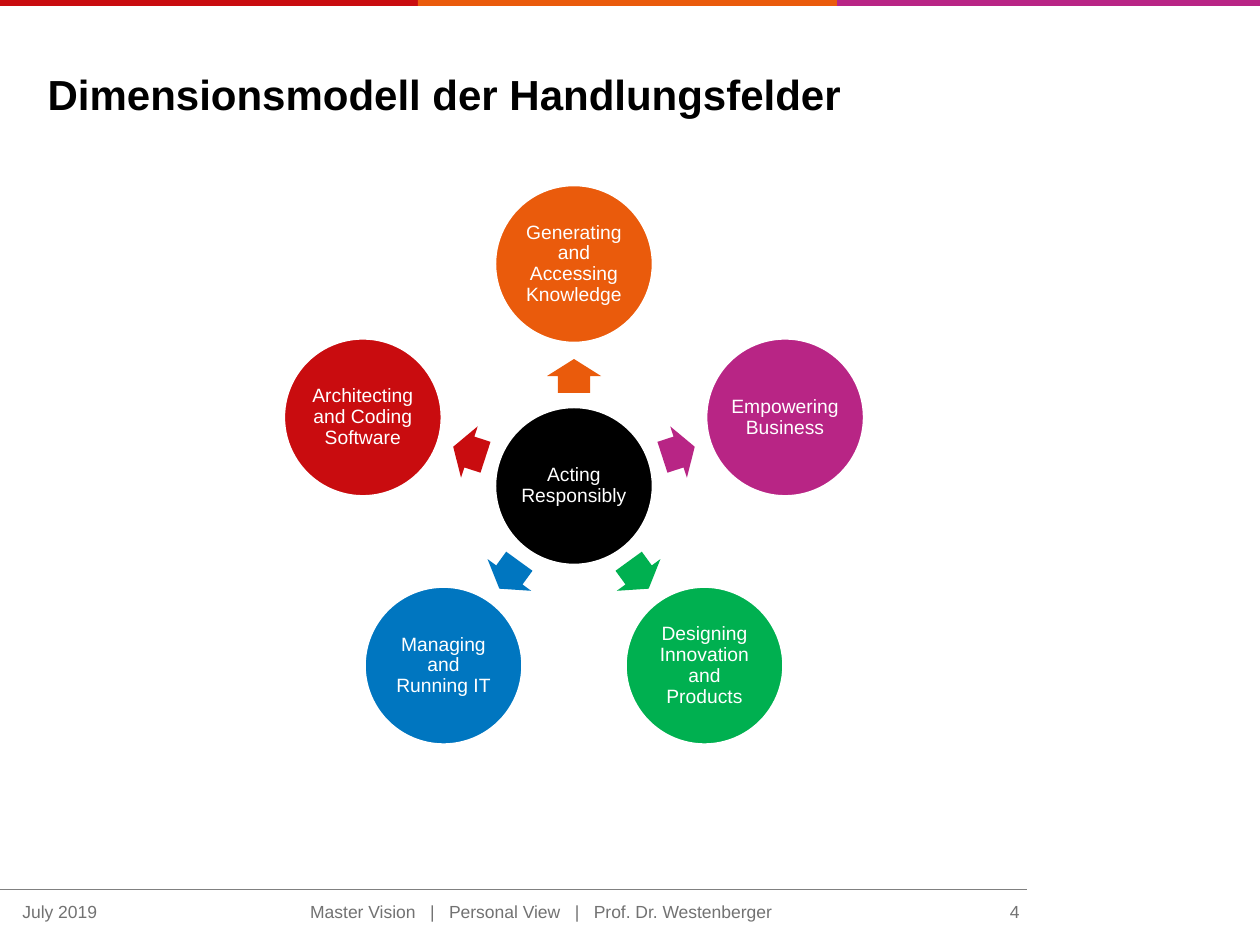
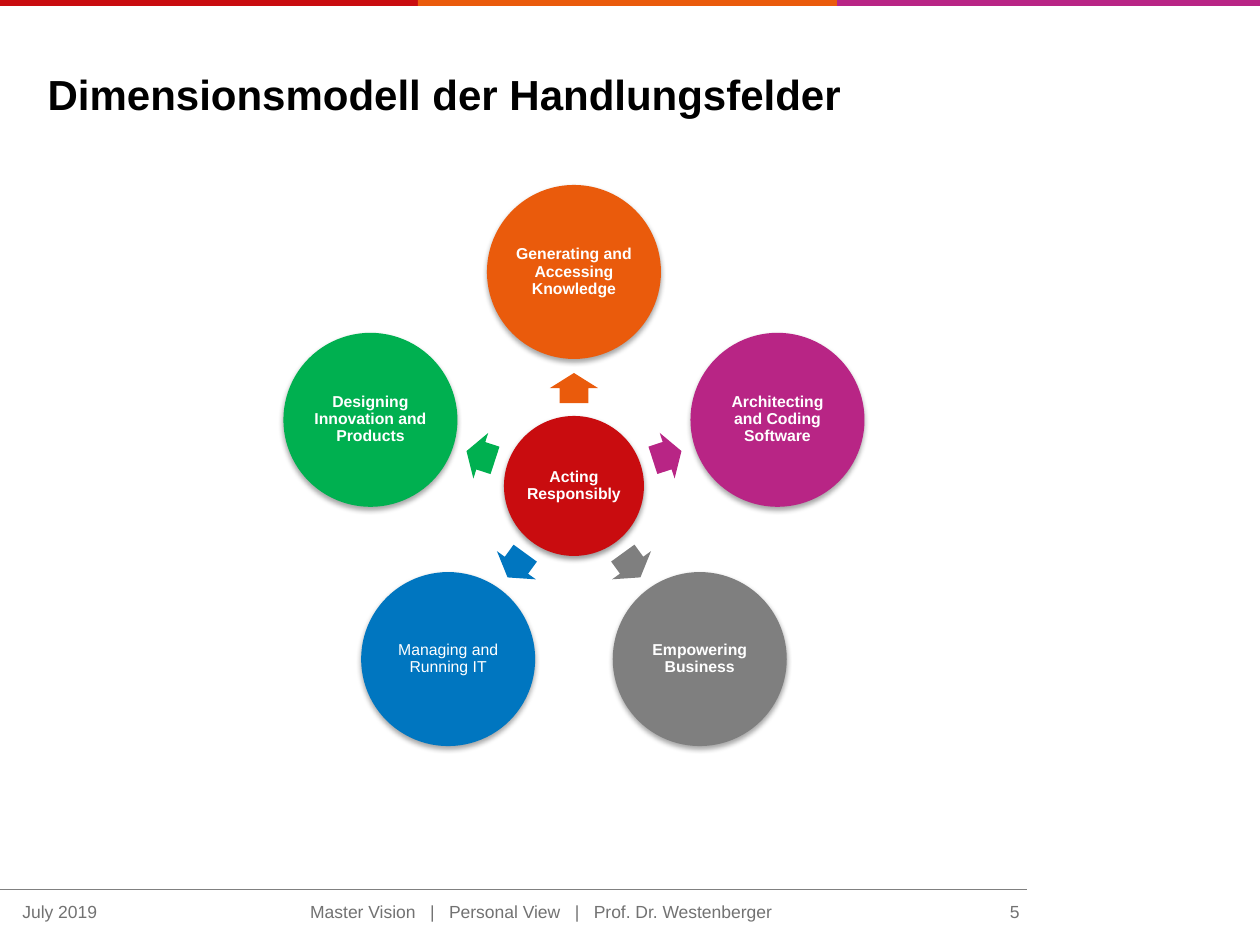
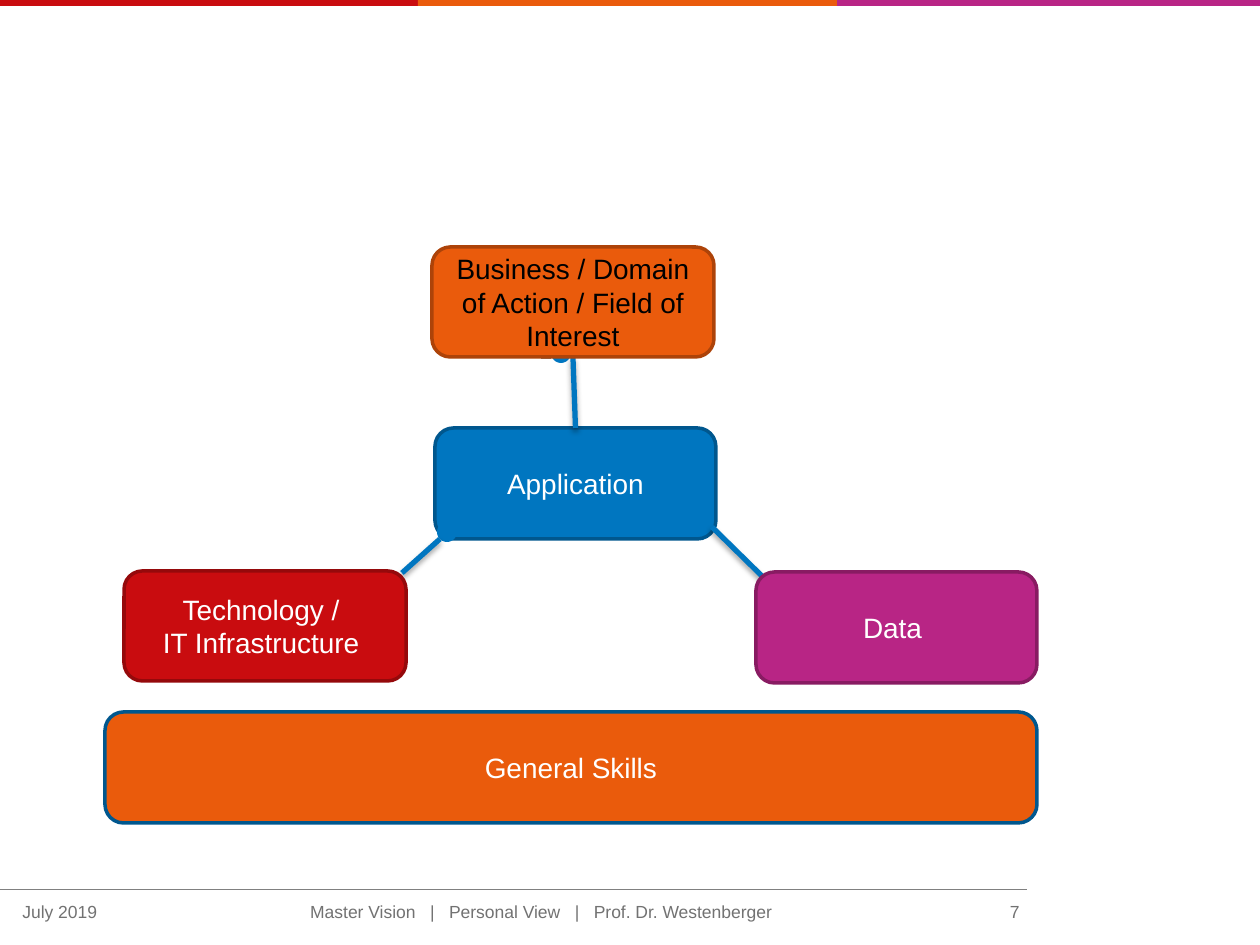
import math
from typing import NamedTuple, Optional

from lxml import etree
from pptx import Presentation
from pptx import util as u
from pptx.dml.color import RGBColor
from pptx.enum import shapes, text
from pptx.oxml.ns import qn

PX = 914400 // 126
SLIDE_W, SLIDE_H = 1260, 945
FONT = "Arial"
TITLE = "Dimensionsmodell der Handlungsfelder"
C = {
    "red": "C90C0F", "orange": "EA5B0C", "purple": "B82585", "green": "00B050",
    "blue": "0076C0", "gray": "7F7F7F", "rule": "808080", "footer": "727272",
    "black": "000000", "white": "FFFFFF", "dark_blue": "00578E",
    "dark_red": "95090B", "dark_orange": "AD4309", "dark_purple": "881B62",
}
KIND = shapes.MSO_SHAPE
ALIGN = text.PP_ALIGN


class Box(NamedTuple):
    x: float
    y: float
    w: float
    h: float


class Shadow(NamedTuple):
    alpha: int
    blur: float
    dist: float


class Style(NamedTuple):
    size: int
    color: str = "white"
    bold: bool = False
    align: ALIGN = ALIGN.CENTER
    spacing: Optional[float] = None


class Node(NamedTuple):
    label: str
    color: str
    bold: bool = False


class Wheel(NamedTuple):
    hub: Node
    nodes: list[Node]
    hub_size: int
    node_size: int
    orbit: int
    arrow_orbit: int
    arrow_w: int
    arrow_h: int
    font_size: int
    inset: int
    outline: Optional[str] = None
    hub_shadow: Optional[Shadow] = None
    node_shadow: Optional[Shadow] = None


class Block(NamedTuple):
    label: str
    fill: str
    line: str
    box: Box
    color: str = "white"


class Footer(NamedTuple):
    label: str
    box: Box
    align: ALIGN


SOFT = Shadow(35, 3.1, 1.8)
HUB_X, HUB_Y = 574, 486

WHEELS = [
    (4, Wheel(Node("Acting Responsibly", "black"), [
        Node("Generating and Accessing Knowledge", "orange"),
        Node("Empowering Business", "purple"),
        Node("Designing Innovation and Products", "green"),
        Node("Managing and Running IT", "blue"),
        Node("Architecting and Coding Software", "red"),
    ], 159, 159, 222, 110, 34, 54, 11, 2, outline="white")),
    (5, Wheel(Node("Acting Responsibly", "red", True), [
        Node("Generating and Accessing Knowledge", "orange", True),
        Node("Architecting and Coding Software", "purple", True),
        Node("Empowering Business", "gray", True),
        Node("Managing and Running IT", "blue"),
        Node("Designing Innovation and Products", "green", True),
    ], 140, 174, 214, 98, 30, 48, 9, 1,
        hub_shadow=Shadow(38, 3.1, 1.6), node_shadow=SOFT)),
]

APPLICATION = Block("Application", "blue", "dark_blue", Box(435, 428, 281, 111))
SKILLS = Block("General Skills", "orange", "dark_blue", Box(105, 712, 932, 111))
TECHNOLOGY = Block("Technology / \nIT Infrastructure ", "red", "dark_red",
                   Box(124, 571, 282, 110))
BUSINESS = Block("Business / Domain of Action / Field of Interest", "orange",
                 "dark_orange", Box(432, 247, 282, 110), "black")
DATA = Block("Data ", "purple", "dark_purple", Box(756, 572, 281, 111))


def px(n: float) -> u.Emu:
    return u.Emu(round(n * PX))


def emu(box: Box) -> list[u.Emu]:
    return [px(n) for n in box]


def centred(x: float, y: float, w: float, h: float) -> Box:
    return Box(x - w / 2, y - h / 2, w, h)


def rgb(name: str) -> RGBColor:
    return RGBColor.from_string(C[name])


def set_shadow(sp, shadow: Optional[Shadow]) -> None:
    """Append the effect list, empty when there is no shadow; call after the line is set."""
    effects = etree.SubElement(sp.element.spPr, qn("a:effectLst"))
    if shadow:
        outer = etree.SubElement(
            effects, qn("a:outerShdw"), blurRad=str(u.Pt(shadow.blur)),
            dist=str(u.Pt(shadow.dist)), dir="5400000", rotWithShape="0")
        color = etree.SubElement(outer, qn("a:srgbClr"), val=C["black"])
        etree.SubElement(color, qn("a:alpha"), val=str(shadow.alpha * 1000))


def add_shape(slide, kind: KIND, box: Box, fill: str, line: Optional[str] = None,
              shadow: Optional[Shadow] = None):
    sp = slide.shapes.add_shape(kind, *emu(box))
    sp.fill.solid()
    sp.fill.fore_color.rgb = rgb(fill)
    if line:
        sp.line.color.rgb = rgb(line)
        sp.line.width = u.Pt(2)
    else:
        sp.line.fill.background()
    set_shadow(sp, shadow)
    return sp


def add_line(slide, x1: int, y1: int, x2: int, y2: int, color: str, width: float,
             shadow: Optional[Shadow] = None):
    line = slide.shapes.add_connector(
        shapes.MSO_CONNECTOR.STRAIGHT, px(x1), px(y1), px(x2), px(y2))
    line.line.color.rgb = rgb(color)
    line.line.width = u.Pt(width)
    set_shadow(line, shadow)
    return line


def write(sp, label: str, style: Style, inset: Optional[int] = None) -> None:
    tf = sp.text_frame
    tf.word_wrap = True
    tf.auto_size = text.MSO_AUTO_SIZE.NONE
    tf.vertical_anchor = text.MSO_ANCHOR.MIDDLE
    if inset is not None:
        tf.margin_left = tf.margin_right = tf.margin_top = tf.margin_bottom = px(inset)
    for i, words in enumerate(label.split("\n")):
        p = tf.add_paragraph() if i else tf.paragraphs[0]
        p.alignment = style.align
        if style.spacing:
            p.line_spacing = style.spacing
        r = p.add_run()
        r.text = words
        r.font.name = FONT
        r.font.size = u.Pt(style.size)
        r.font.bold = style.bold
        r.font.color.rgb = rgb(style.color)


def add_master_bands(prs, slide) -> None:
    """Draw the colour band and footer rule, then move them to the slide master."""
    edges = [0, 418, 837, SLIDE_W]
    parts = [add_shape(slide, KIND.RECTANGLE, Box(x, 0, end - x, 6), color)
             for x, end, color in zip(edges, edges[1:], ("red", "orange", "purple"))]
    parts.append(add_line(slide, 0, 890, 1027, 890, "rule", 0.5))
    tree = prs.slide_master.shapes.element
    for i, part in enumerate(parts):
        part.element.xpath(".//p:cNvPr")[0].set("id", str(101 + i))
        tree.insert(2 + i, part.element)


def add_footers(slide, number: int) -> None:
    for footer in (
        Footer("Master Vision   |   Personal View   |   Prof. Dr. Westenberger",
               Box(194, 892, 694, 39), ALIGN.CENTER),
        Footer("July 2019", Box(10, 892, 174, 39), ALIGN.LEFT),
        Footer(str(number), Box(898, 892, 134, 39), ALIGN.RIGHT),
    ):
        write(slide.shapes.add_textbox(*emu(footer.box)), footer.label,
              Style(10, "footer", align=footer.align))


def add_title(slide) -> None:
    sp = slide.shapes.title
    sp.left, sp.top, sp.width, sp.height = emu(Box(35, 69, 1176, 49))
    write(sp, TITLE, Style(24, "black", True, ALIGN.LEFT))
    sp.text_frame.paragraphs[0].space_before = u.Pt(5)


def add_circle(slide, wheel: Wheel, node: Node, x: float, y: float, size: int,
               shadow: Optional[Shadow]) -> None:
    sp = add_shape(slide, KIND.OVAL, centred(x, y, size, size), node.color,
                   wheel.outline, shadow)
    write(sp, node.label, Style(wheel.font_size, bold=node.bold, spacing=0.9), wheel.inset)


def add_wheel(slide, wheel: Wheel) -> None:
    add_circle(slide, wheel, wheel.hub, HUB_X, HUB_Y, wheel.hub_size, wheel.hub_shadow)
    step = 360 / len(wheel.nodes)
    for i, node in enumerate(wheel.nodes):
        angle = i * step - 90
        dx, dy = math.cos(math.radians(angle)), math.sin(math.radians(angle))
        arrow = add_shape(
            slide, KIND.RIGHT_ARROW,
            centred(HUB_X + wheel.arrow_orbit * dx, HUB_Y + wheel.arrow_orbit * dy,
                    wheel.arrow_w, wheel.arrow_h), node.color)
        arrow.adjustments[0] = 0.6
        arrow.adjustments[1] = 0.5
        arrow.rotation = angle % 360
        add_circle(slide, wheel, node, HUB_X + wheel.orbit * dx, HUB_Y + wheel.orbit * dy,
                   wheel.node_size, wheel.node_shadow)


def add_block(slide, block: Block):
    sp = add_shape(slide, KIND.ROUNDED_RECTANGLE, block.box, block.fill, block.line)
    write(sp, block.label, Style(16, block.color))
    return sp


def add_architecture(slide) -> None:
    application = add_block(slide, APPLICATION)
    add_block(slide, SKILLS)
    add_line(slide, 541, 358, 551, 358, "rule", 0.75)
    for x, y in ((551, 343), (437, 522)):
        add_shape(slide, KIND.OVAL, Box(x, y, 20, 20), "blue")
    to_business = add_line(slide, 575, 428, 573, 357, "blue", 3, SOFT)
    add_line(slide, 767, 581, 712, 527, "blue", 3, SOFT)
    add_line(slide, 402, 573, 440, 539, "blue", 3, SOFT)
    add_block(slide, TECHNOLOGY)
    business = add_block(slide, BUSINESS)
    add_block(slide, DATA)
    to_business.begin_connect(application, 0)
    to_business.end_connect(business, 2)


def main() -> None:
    prs = Presentation()
    prs.slide_width, prs.slide_height = px(SLIDE_W), px(SLIDE_H)
    title_only, blank = prs.slide_layouts[5], prs.slide_layouts[6]

    for number, wheel in WHEELS:
        slide = prs.slides.add_slide(title_only)
        add_title(slide)
        add_footers(slide, number)
        add_wheel(slide, wheel)

    slide = prs.slides.add_slide(blank)
    add_footers(slide, 7)
    add_architecture(slide)
    add_master_bands(prs, slide)
    prs.save("out.pptx")


if __name__ == "__main__":
    main()
